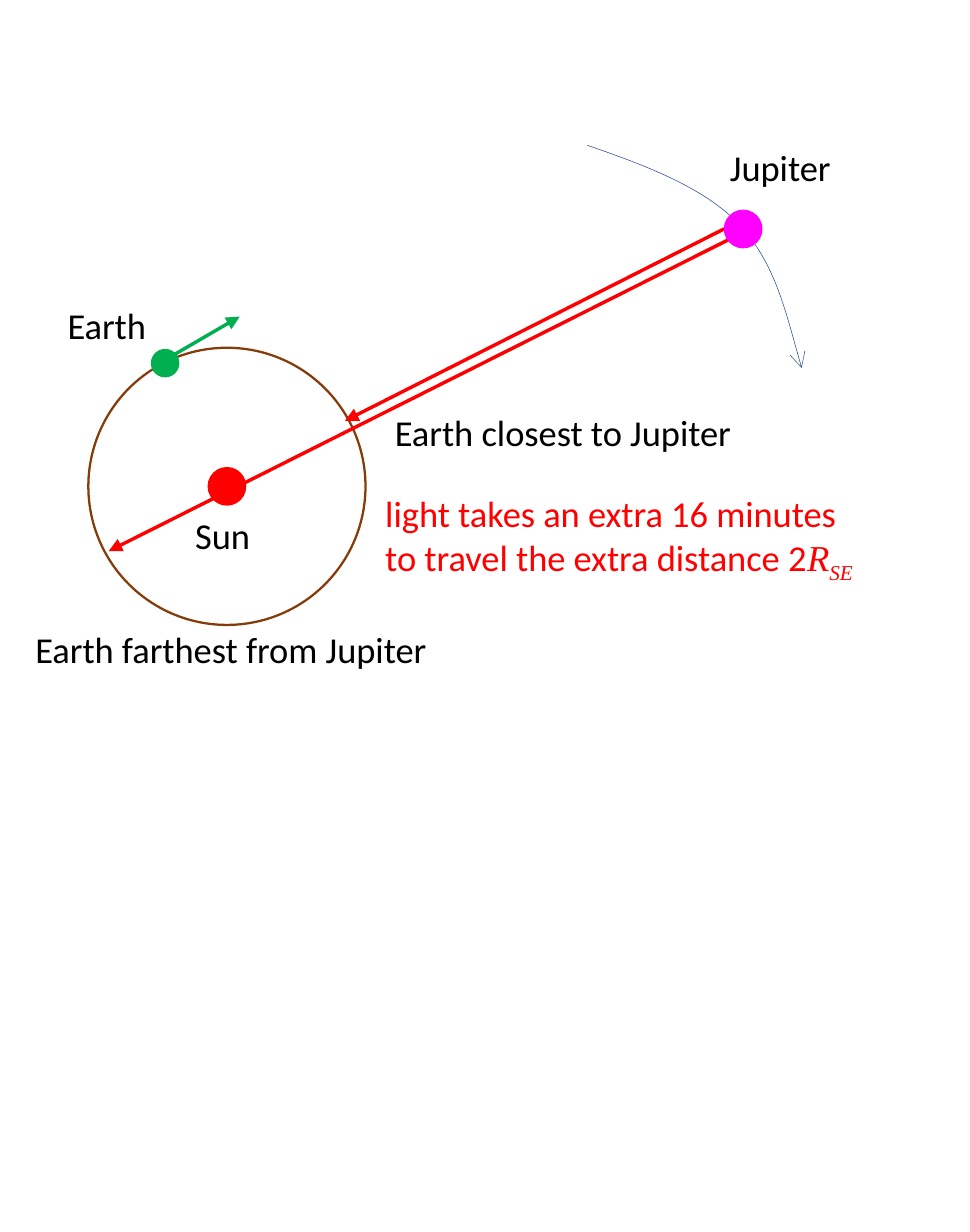
from lxml import etree
from pptx import Presentation
from pptx.dml.color import RGBColor
from pptx.enum.shapes import MSO_CONNECTOR, MSO_SHAPE
from pptx.enum.text import MSO_AUTO_SIZE
from pptx.oxml.ns import qn
from pptx.util import Pt

ELLIPSE = MSO_SHAPE.OVAL
STRAIGHT = MSO_CONNECTOR.STRAIGHT
FIT_SHAPE = MSO_AUTO_SIZE.SHAPE_TO_FIT_TEXT
BLACK, RED, GREEN = "000000", "FF0000", "00B050"
BROWN, MAGENTA, BLUE = "843C0B", "FF00FF", "325491"


def color(value):
    return RGBColor.from_string(value)


def format_line(shape, value, width, arrowhead=None):
    shape.line.color.rgb = color(value)
    shape.line.width = Pt(width)
    if arrowhead:
        tail = etree.SubElement(shape.line._get_or_add_ln(), qn("a:tailEnd"))
        tail.set("type", arrowhead)


presentation = Presentation()
presentation.slide_width = Pt(425.2)
presentation.slide_height = Pt(540)
slide = presentation.slides.add_slide(presentation.slide_layouts[6])
shapes = slide.shapes

jupiter_path = [
    (257.5, 63.7),
    (282, 72.2), (307.2, 81.5), (323.1, 97.4),
    (338.9, 113.9), (344.7, 137.6), (351.4, 161.3),
]
path_points = [(Pt(x), Pt(y)) for x, y in jupiter_path]
builder = shapes.build_freeform(*path_points[0])
builder.add_line_segments(path_points[1:], close=False)
jupiter_curve = builder.convert_to_shape()
jupiter_curve.shadow.inherit = False
jupiter_curve.fill.background()
format_line(jupiter_curve, BLUE, 0.25, "arrow")
segments = list(jupiter_curve._element.iter(qn("a:lnTo")))
for start in range(0, len(segments), 3):
    bezier = etree.SubElement(segments[start].getparent(), qn("a:cubicBezTo"))
    for segment in segments[start:start + 3]:
        bezier.append(segment[0])
        segment.getparent().remove(segment)

sun_center = (99.5, 213.2)
light_paths = [
    ((317.5, 100.3), (151.2, 184.5), RED),
    ((328.3, 100.6), (47.6, 241.6), RED),
    ((76.3, 155.5), (105.1, 138.8), GREEN),
]
circles = [
    (sun_center, 8, RED, RED),
    (sun_center, 60.75, None, BROWN),
    ((72.4, 159.2), 5.75, GREEN, GREEN),
    ((325.8, 100.4), 8, MAGENTA, MAGENTA),
]
for (x, y), radius, fill, outline in circles:
    if fill == MAGENTA:
        for begin, end, value in light_paths:
            arrow = shapes.add_connector(
                STRAIGHT, *[Pt(length) for length in begin + end])
            format_line(arrow, value, 1.5, "triangle")
            etree.SubElement(arrow._element.spPr, qn("a:effectLst"))
    circle = shapes.add_shape(
        ELLIPSE, Pt(x - radius), Pt(y - radius), Pt(2 * radius), Pt(2 * radius))
    circle.shadow.inherit = False
    if fill:
        circle.fill.solid()
        circle.fill.fore_color.rgb = color(fill)
    else:
        circle.fill.background()
    format_line(circle, outline, 1)

plain = {"name": "Calibri"}
symbol = {"name": "Times New Roman", "italic": True}
labels = [
    (312.9, 60.1, 59, 26.6, BLACK, [[("Jupiter", plain, None)]]),
    (22.5, 129.2, 49.7, 26.6, BLACK, [[("Earth", plain, None)]]),
    (78.5, 221.5, 38.9, 26.6, BLACK, [[("Sun", plain, None)]]),
    (166, 176.4, 164.2, 26.6, BLACK,
     [[("Earth closest to Jupiter", plain, None)]]),
    (8.4, 271.4, 188.6, 26.6, BLACK,
     [[("Earth farthest from Jupiter", plain, None)]]),
    (161.8, 211.7, 226.1, 46, RED, [
        [("light takes an extra 16 minutes", plain, None)],
        [("to travel the extra distance 2", plain, None),
         ("R", symbol, None), ("SE", symbol, "-25000")],
    ]),
]
for left, top, width, height, value, paragraphs in labels:
    label = shapes.add_textbox(Pt(left), Pt(top), Pt(width), Pt(height))
    frame = label.text_frame
    frame.word_wrap = False
    frame.auto_size = FIT_SHAPE
    for index, runs in enumerate(paragraphs):
        paragraph = frame.add_paragraph() if index else frame.paragraphs[0]
        for text, font_format, baseline in runs:
            run = paragraph.add_run()
            run.text = text
            run.font.size = Pt(16)
            run.font.color.rgb = color(value)
            for attribute, setting in font_format.items():
                setattr(run.font, attribute, setting)
            if baseline:
                run.font._element.set("baseline", baseline)

presentation.save("out.pptx")
